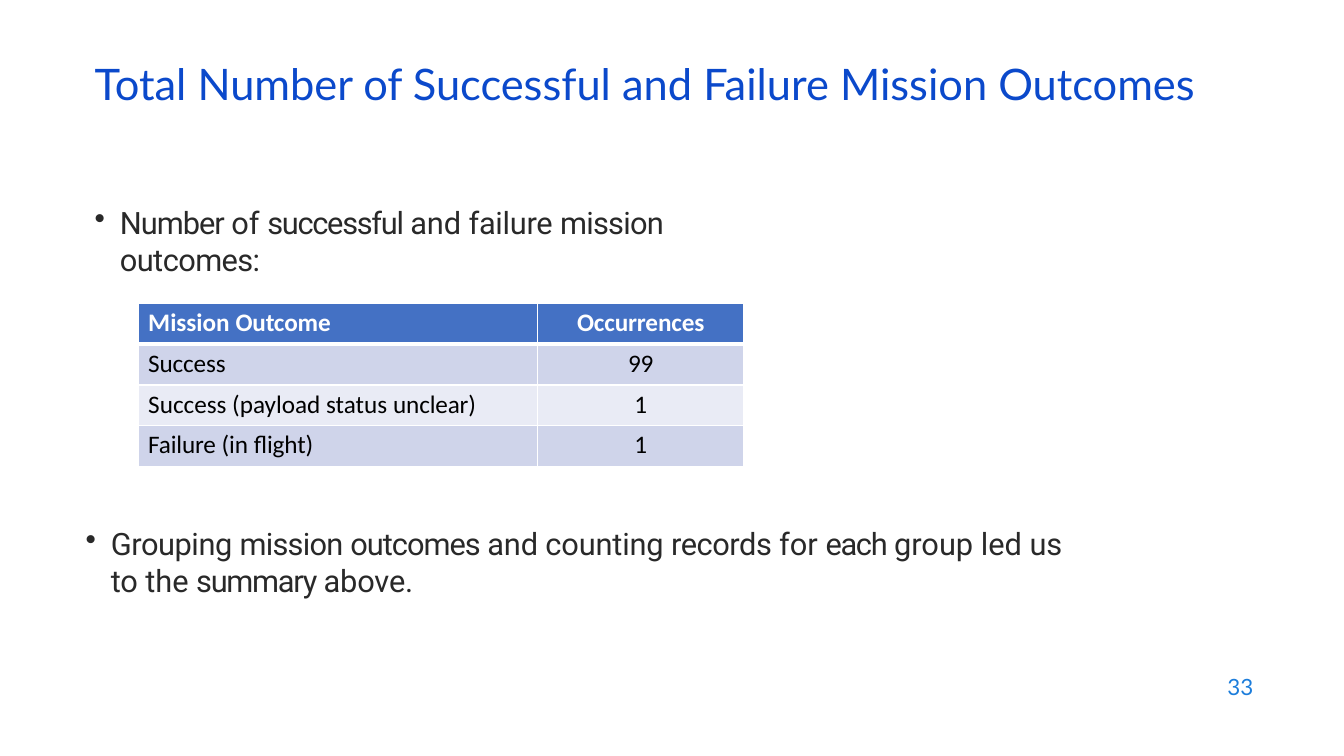
from dataclasses import dataclass

import pptx
import pptx.dml.color
import pptx.enum.text
import pptx.oxml
import pptx.oxml.ns
import pptx.util
from pptx.util import Inches

COLORS = {
    "title": "0B49CB", "number": "1C7DDB", "body": "292929",
    "white": "FFFFFF", "black": "000000",
    "header": "4471C4", "band_dark": "CFD4EA", "band_light": "E9EBF5",
}
ALIGN = pptx.enum.text.PP_ALIGN
MIDDLE = pptx.enum.text.MSO_ANCHOR.MIDDLE


@dataclass(frozen=True)
class Span:
    text: str
    spacing: float = 0  # points between letters


@dataclass(frozen=True)
class Style:
    font: str
    size: float
    color: str
    bold: bool = False


@dataclass(frozen=True)
class Bullet:
    left: float
    top: float
    width: float
    height: float
    spans: list[Span]


@dataclass(frozen=True)
class OutcomeRow:
    outcome: list[Span]
    occurrences: Span
    fill: str


TITLE = Style("Lato", 31, "title")
NUMBER = Style("Lato", 16, "number")
BODY = Style("Roboto", 22, "body")
HEADER_CELL = Style("Calibri", 18, "white", bold=True)
BODY_CELL = Style("Calibri", 18, "black")

BULLETS = [
    Bullet(0.93, 2.01, 7, 0.39, [
        Span("Number ", -0.7), Span("of "), Span("successful ", -0.9),
        Span("and ", -0.1), Span("failure ", -0.2), Span("mission", -0.5),
        Span(" outcomes:", -0.4)]),
    Bullet(0.84, 5.2, 10.01, 0.76, [
        Span("Grouping ", -0.3), Span("mission ", -0.5), Span("outcomes ", -0.7),
        Span("and counting ", -0.1), Span("records ", -0.3), Span("for "),
        Span("each ", -0.9), Span("group led "), Span("us ", -0.1),
        Span("to ", -0.2), Span("the "), Span("summary ", -0.9),
        Span("above.", -0.1)]),
]

OUTCOME_ROWS = [
    OutcomeRow([Span("Mission "), Span("Outcome", -0.1)],
               Span("Occurrences", -0.1), "header"),
    OutcomeRow([Span("Success", -0.1)], Span("99", -0.2), "band_dark"),
    OutcomeRow([Span("Success (payload status "), Span("unclear)", -0.1)],
               Span("1", -0.5), "band_light"),
    OutcomeRow([Span("Failure ", -0.1), Span("(in "), Span("flight)", -0.1)],
               Span("1", -0.5), "band_dark"),
]
COLUMN_WIDTHS = [3.96, 2.05]


def rgb(name: str) -> pptx.dml.color.RGBColor:
    return pptx.dml.color.RGBColor.from_string(COLORS[name])


def add_spans(para, spans: list[Span], style: Style) -> None:
    for item in spans:
        span = para.add_run()
        span.text = item.text
        span.font.name = style.font
        span.font.size = pptx.util.Pt(style.size)
        span.font.bold = style.bold
        span.font.color.rgb = rgb(style.color)
        if item.spacing:
            span._r.get_or_add_rPr().set("spc", str(round(item.spacing * 100)))


def add_box(page, left: float, top: float, width: float, height: float):
    box = page.shapes.add_textbox(*map(Inches, (left, top, width, height)))
    box.text_frame.word_wrap = True
    return box.text_frame


def add_line(page, place: tuple, text: str, style: Style):
    """Add a vertically centred box of one paragraph and return the paragraph."""
    frame = add_box(page, *place)
    frame.vertical_anchor = MIDDLE
    para = frame.paragraphs[0]
    add_spans(para, [Span(text)], style)
    return para


def add_bullet(page, bullet: Bullet) -> None:
    frame = add_box(page, bullet.left, bullet.top, bullet.width, bullet.height)
    frame.margin_left = frame.margin_right = frame.margin_bottom = 0
    frame.margin_top = Inches(0.01)
    para = frame.paragraphs[0]
    properties = para._p.get_or_add_pPr()
    properties.set("marL", str(Inches(0.26)))
    properties.set("indent", str(Inches(-0.25)))
    namespace = pptx.oxml.ns.nsdecls("a")
    properties.append(pptx.oxml.parse_xml(f'<a:buChar {namespace} char="•"/>'))
    add_spans(para, bullet.spans, BODY)


def set_borders(cell, widths: dict[str, float]) -> None:
    properties = cell._tc.get_or_add_tcPr()
    namespace = pptx.oxml.ns.nsdecls("a")
    for side, width in widths.items():
        properties.append(pptx.oxml.parse_xml(
            f'<a:ln{side} {namespace} w="{pptx.util.Pt(width)}"><a:solidFill>'
            f'<a:srgbClr val="{COLORS["white"]}"/></a:solidFill></a:ln{side}>'))


def add_outcome_table(page) -> None:
    table = page.shapes.add_table(
        len(OUTCOME_ROWS), len(COLUMN_WIDTHS), Inches(1.37), Inches(3.01),
        Inches(sum(COLUMN_WIDTHS)), Inches(1.62)).table
    for column, width in zip(table.columns, COLUMN_WIDTHS):
        column.width = Inches(width)
    for index, row in enumerate(OUTCOME_ROWS):
        borders = {"L": 1, "R": 1, "T": 3 if index == 1 else 1,
                   "B": 3 if index == 0 else 1}
        for column, spans in enumerate([row.outcome, [row.occurrences]]):
            cell = table.cell(index, column)
            cell.margin_left = Inches(0.1 if column == 0 else 0)
            cell.margin_right = cell.margin_bottom = 0
            cell.margin_top = Inches(0.04)
            set_borders(cell, borders)
            cell.fill.solid()
            cell.fill.fore_color.rgb = rgb(row.fill)
            para = cell.text_frame.paragraphs[0]
            para.alignment = ALIGN.LEFT if column == 0 else ALIGN.CENTER
            add_spans(para, spans, HEADER_CELL if index == 0 else BODY_CELL)


def main() -> None:
    deck = pptx.Presentation()
    deck.slide_width, deck.slide_height = Inches(13.33), Inches(7.5)
    page = deck.slides.add_slide(deck.slide_layouts[6])
    number = add_line(page, (9.53, 6.59, 3, 0.44), "33", NUMBER)
    number.alignment = ALIGN.RIGHT
    title = add_line(page, (0.84, 0.59, 11.5, 0.6),
                     "Total Number of Successful and Failure Mission Outcomes", TITLE)
    title.line_spacing = 0.7
    for bullet in BULLETS:
        add_bullet(page, bullet)
    add_outcome_table(page)
    deck.save("out.pptx")


if __name__ == "__main__":
    main()
